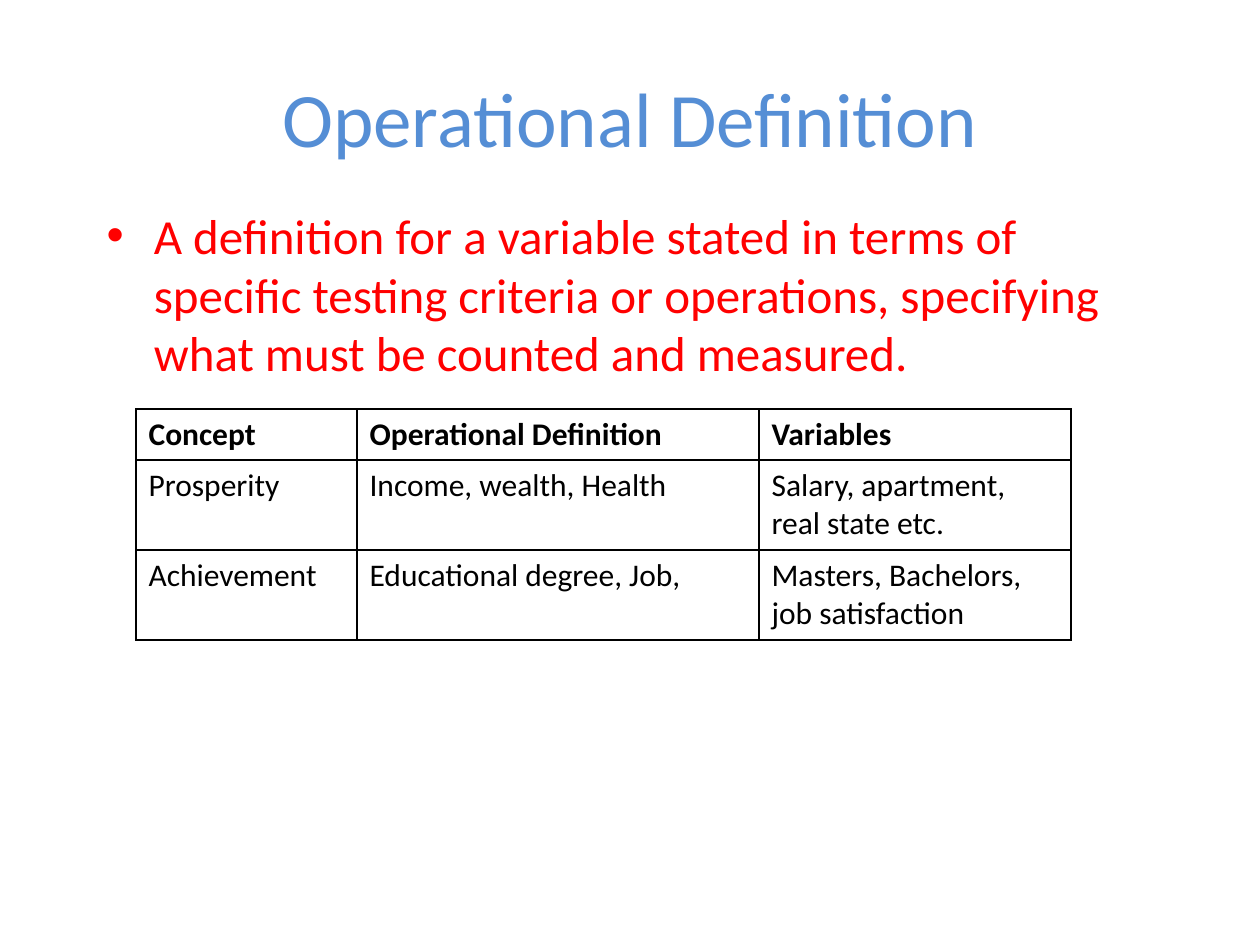
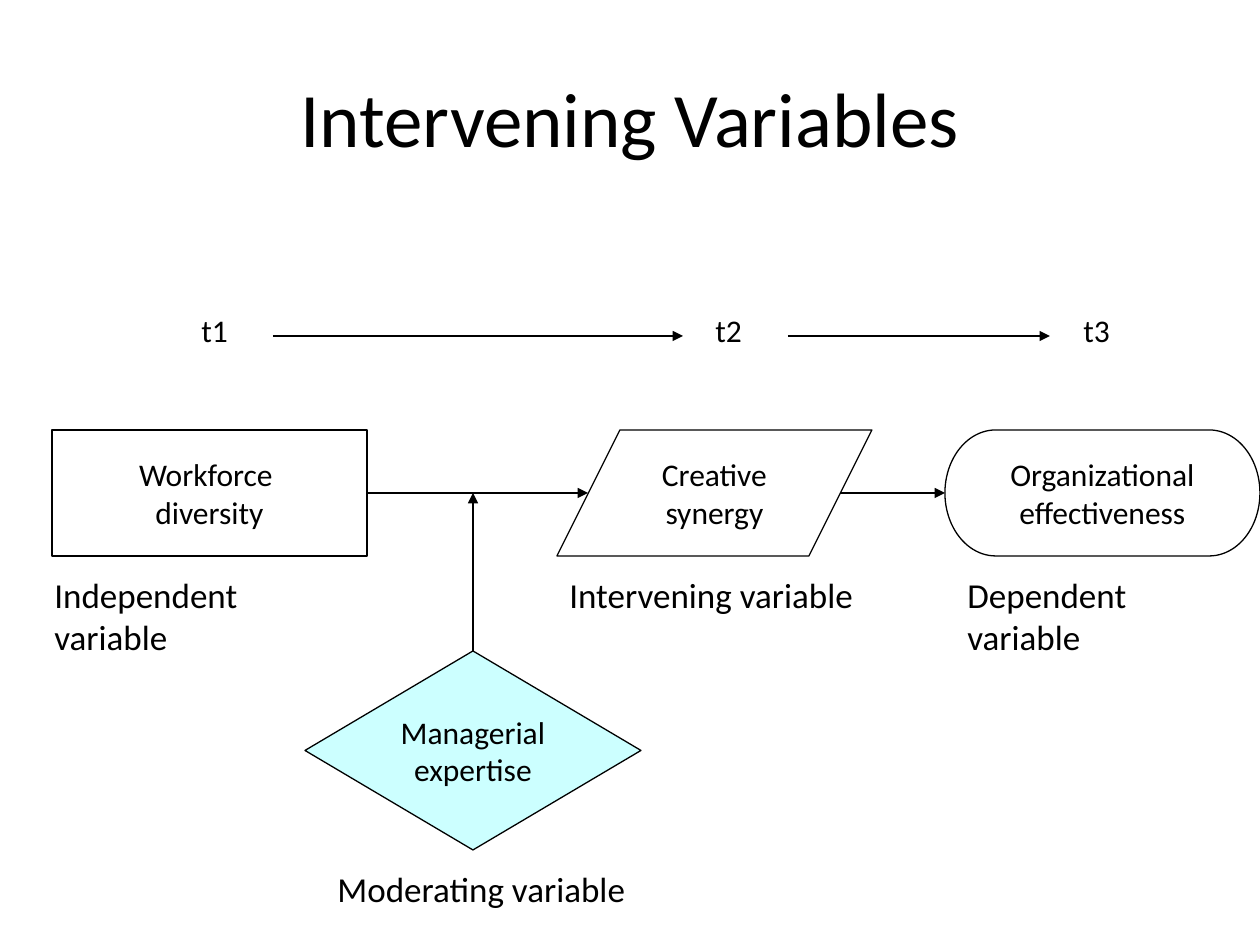
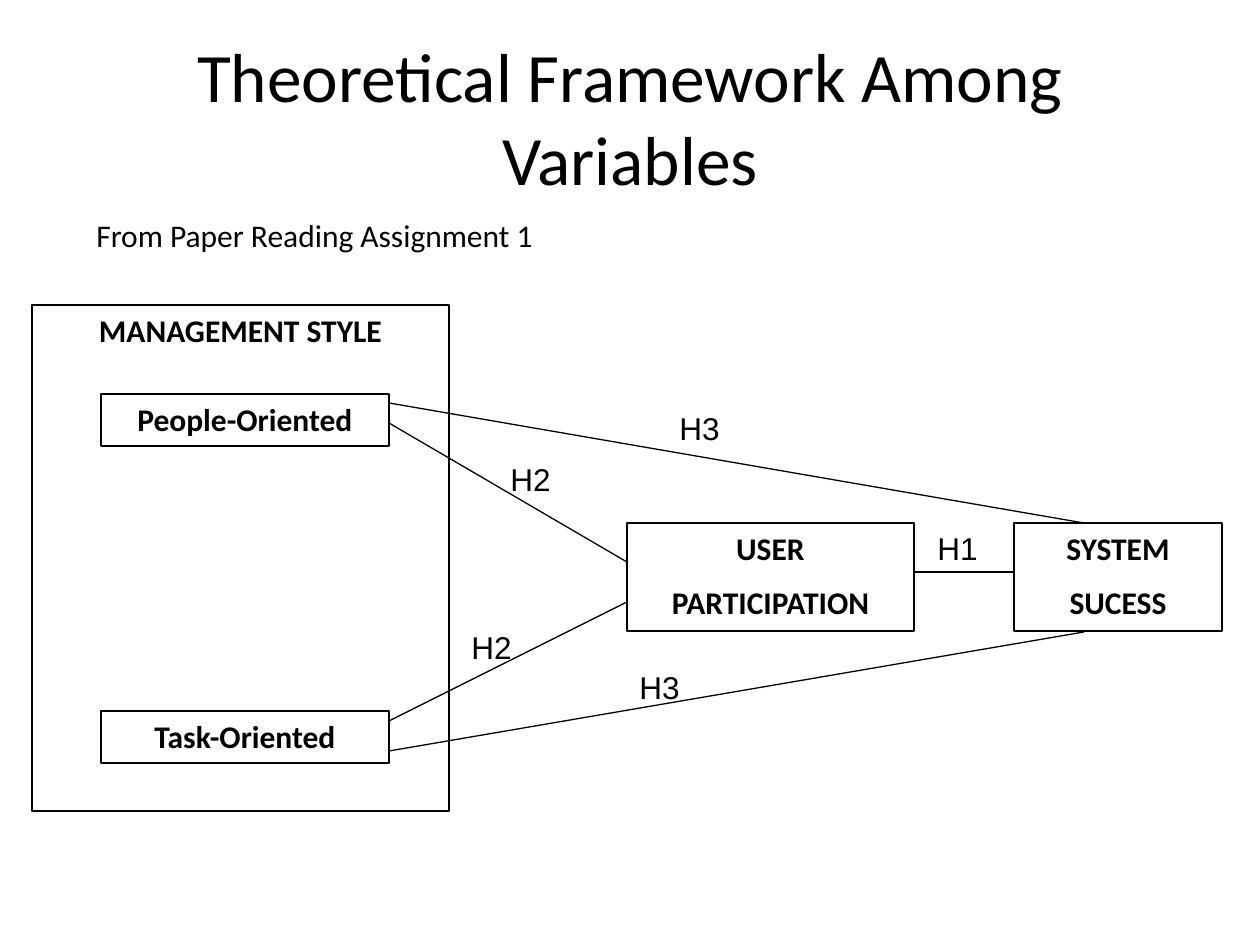
"""Build three slides on research variables and their definitions."""
from lxml import etree
from pptx import Presentation
from pptx import util as u
from pptx.dml.color import RGBColor
from pptx.enum import shapes, text
from pptx.oxml import ns

EMU_PER_INCH = 914400
PX_PER_INCH = 126
BLACK = RGBColor(0x00, 0x00, 0x00)
RED = RGBColor(0xFF, 0x00, 0x00)
TITLE_BLUE = RGBColor(0x55, 0x8E, 0xD5)
PALE_CYAN = RGBColor(0xCC, 0xFF, 0xFF)
FONT = "Calibri"
LABEL_FONT = "Arial"
CONTENT_LAYOUT, TITLE_ONLY_LAYOUT = 1, 5


def px(length):
    """Turn a length in px into EMU."""
    return u.Emu(round(length * EMU_PER_INCH / PX_PER_INCH))


def place(shape, left, top, width, height):
    """Move and size a shape in px."""
    shape.left, shape.top = px(left), px(top)
    shape.width, shape.height = px(width), px(height)


def style(paragraph, size, color=BLACK, bold=False, font=FONT):
    """Set the font of a whole paragraph."""
    paragraph.font.name = font
    paragraph.font.size = u.Pt(size)
    paragraph.font.bold = bold
    paragraph.font.color.rgb = color


def add_slide(presentation, layout, title, size=44, color=BLACK):
    """Add a slide and format its title."""
    slide = presentation.slides.add_slide(presentation.slide_layouts[layout])
    shape = slide.shapes.title
    place(shape, 63, 38, 1134, 157)
    frame = shape.text_frame
    frame.text = title
    frame.auto_size = text.MSO_AUTO_SIZE.NONE
    style(frame.paragraphs[0], size, color)
    return slide


def add_label(slide, words, left, top, width, height=54, size=18, font=FONT):
    """Add a wrapping text label."""
    frame = slide.shapes.add_textbox(px(left), px(top), px(width), px(height)).text_frame
    frame.word_wrap = True
    frame.text = words
    style(frame.paragraphs[0], size, font=font)


def add_node(slide, kind, box, lines, fill=None):
    """Add an outlined shape without text formatting beyond its lines."""
    shape = slide.shapes.add_shape(kind, *map(px, box))
    shape.shadow.inherit = False
    shape.line.color.rgb = BLACK
    shape.line.width = u.Pt(0.75)
    if fill is None:
        shape.fill.background()
    else:
        shape.fill.solid()
        shape.fill.fore_color.rgb = fill
    shape.text_frame.text = "\n".join(lines)
    for paragraph in shape.text_frame.paragraphs:
        paragraph.alignment = text.PP_ALIGN.CENTER
        style(paragraph, 18)
    return shape


def add_flow_node(slide, kind, box, lines, fill=None):
    """Add a flowchart shape with centred, unwrapped text."""
    shape = add_node(slide, kind, box, lines, fill)
    shape.text_frame.word_wrap = False
    shape.text_frame.vertical_anchor = text.MSO_ANCHOR.MIDDLE
    return shape


def add_framework_box(slide, box, *lines):
    """Add a rectangle with bold text at its top."""
    frame = add_node(slide, shapes.MSO_SHAPE.RECTANGLE, box, lines).text_frame
    frame.word_wrap = True
    frame.vertical_anchor = text.MSO_ANCHOR.TOP
    for paragraph in frame.paragraphs:
        paragraph.font.bold = True
    for paragraph in frame.paragraphs[1:]:
        paragraph.space_before = u.Pt(9)


def add_line(slide, start, end, arrow=False):
    """Add a thin straight line, with an arrowhead on request."""
    line = slide.shapes.add_connector(shapes.MSO_CONNECTOR.STRAIGHT, *map(px, start + end))
    line.line.color.rgb = BLACK
    line.line.width = u.Pt(0.75)
    if arrow:
        etree.SubElement(line.line._get_or_add_ln(), ns.qn("a:tailEnd"), type="triangle")
    etree.SubElement(line._element.spPr, ns.qn("a:effectLst"))
    return line


def add_borders(cell):
    """Draw a black border of one point on all sides of a cell."""
    properties = cell._tc.get_or_add_tcPr()
    for index, side in enumerate(("lnL", "lnR", "lnT", "lnB")):
        border = etree.Element(ns.qn(f"a:{side}"), w=str(u.Pt(1)))
        fill = etree.SubElement(border, ns.qn("a:solidFill"))
        etree.SubElement(fill, ns.qn("a:srgbClr"), val=str(BLACK))
        properties.insert(index, border)


def add_grid(slide, left, top, widths, heights, rows):
    """Add a bordered table with a bold first row."""
    frame = slide.shapes.add_table(len(rows), len(widths), px(left), px(top),
                                   px(sum(widths)), px(sum(heights)))
    table = frame.table
    table.horz_banding = False
    for column, width in zip(table.columns, widths):
        column.width = px(width)
    for index, (height, values) in enumerate(zip(heights, rows)):
        table.rows[index].height = px(height)
        for cell, value in zip(table.rows[index].cells, values):
            cell.text = value
            cell.fill.background()
            style(cell.text_frame.paragraphs[0], 18, bold=index == 0)
            add_borders(cell)


def build_definition(presentation):
    """Build the slide on operational definitions."""
    slide = add_slide(presentation, CONTENT_LAYOUT, "Operational Definition", color=TITLE_BLUE)
    body = slide.placeholders[1]
    place(body, 94, 199, 1071, 620)
    body.text_frame.text = (
        "A definition for a variable stated in terms of specific testing criteria "
        "or operations, specifying what must be counted and measured.")
    style(body.text_frame.paragraphs[0], 28, RED)
    add_grid(slide, 136, 409, (221, 402, 312), (51, 90, 90), (
        ("Concept", "Operational Definition", "Variables"),
        ("Prosperity", "Income, wealth, Health", "Salary, apartment, real state etc."),
        ("Achievement", "Educational degree, Job,", "Masters, Bachelors, job satisfaction"),
    ))


def build_intervening(presentation):
    """Build the flow of variables over time."""
    slide = add_slide(presentation, TITLE_ONLY_LAYOUT, "Intervening Variables")
    kinds = shapes.MSO_SHAPE
    top, width, height = 430, 315, 126
    middle = top + height // 2
    independent = add_flow_node(slide, kinds.FLOWCHART_PROCESS, (52, top, width, height),
                                ("Workforce ", "diversity"))
    add_flow_node(slide, kinds.FLOWCHART_DATA, (557, top, width, height),
                  ("Creative", "synergy"))
    dependent = add_flow_node(slide, kinds.FLOWCHART_TERMINATOR, (945, top, width, height),
                              ("Organizational", "effectiveness"))
    moderator = add_flow_node(slide, kinds.FLOWCHART_DECISION, (305, 651, 336, 199),
                              ("Managerial", "expertise"), PALE_CYAN)

    add_line(slide, (367, middle), (588, middle), True).begin_connect(independent, 3)
    add_line(slide, (840, middle), (945, middle), True).end_connect(dependent, 1)
    add_line(slide, (473, 651), (473, middle), True).begin_connect(moderator, 0)
    for start, end in ((273, 683), (788, 1050)):
        add_line(slide, (start, 336), (end, 336), True)

    for words, left in (("t1", 189), ("t2", 703), ("t3", 1071)):
        add_label(slide, words, left, 305, 63)
    for words, left, label_top, label_width in (
        ("Independent variable", 42, 567, 325),
        ("Intervening variable", 557, 567, 325),
        ("Dependent variable", 955, 567, 302),
        ("Moderating variable", 325, 861, 326),
    ):
        add_label(slide, words, left, label_top, label_width, size=20)


def build_framework(presentation):
    """Build the theoretical framework with its hypotheses."""
    slide = add_slide(presentation, TITLE_ONLY_LAYOUT,
                      "Theoretical Framework Among Variables", 39.6)
    add_framework_box(slide, (32, 305, 417, 506), "MANAGEMENT STYLE")
    add_framework_box(slide, (627, 523, 287, 108), "USER", "PARTICIPATION")
    add_framework_box(slide, (1014, 523, 208, 108), "SYSTEM", "SUCESS")
    add_framework_box(slide, (101, 394, 288, 52), "People-Oriented")
    add_framework_box(slide, (101, 711, 288, 52), "Task-Oriented")

    for start, end in (
        ((389, 423), (627, 562)),
        ((389, 721), (627, 602)),
        ((389, 403), (1084, 523)),
        ((389, 751), (1084, 632)),
        ((914, 572), (1014, 572)),
    ):
        add_line(slide, start, end)
    for words, left, top in (("H3", 627, 662), ("H3", 667, 403), ("H2", 459, 622),
                             ("H2", 498, 454), ("H1", 925, 523)):
        add_label(slide, words, left, top, 120, font=LABEL_FONT)
    add_label(slide, "From Paper Reading Assignment 1", 84, 210, 683)


def main():
    """Build and save the presentation."""
    presentation = Presentation()
    presentation.slide_width, presentation.slide_height = px(1260), px(945)
    build_definition(presentation)
    build_intervening(presentation)
    build_framework(presentation)
    presentation.save("out.pptx")


if __name__ == "__main__":
    main()
